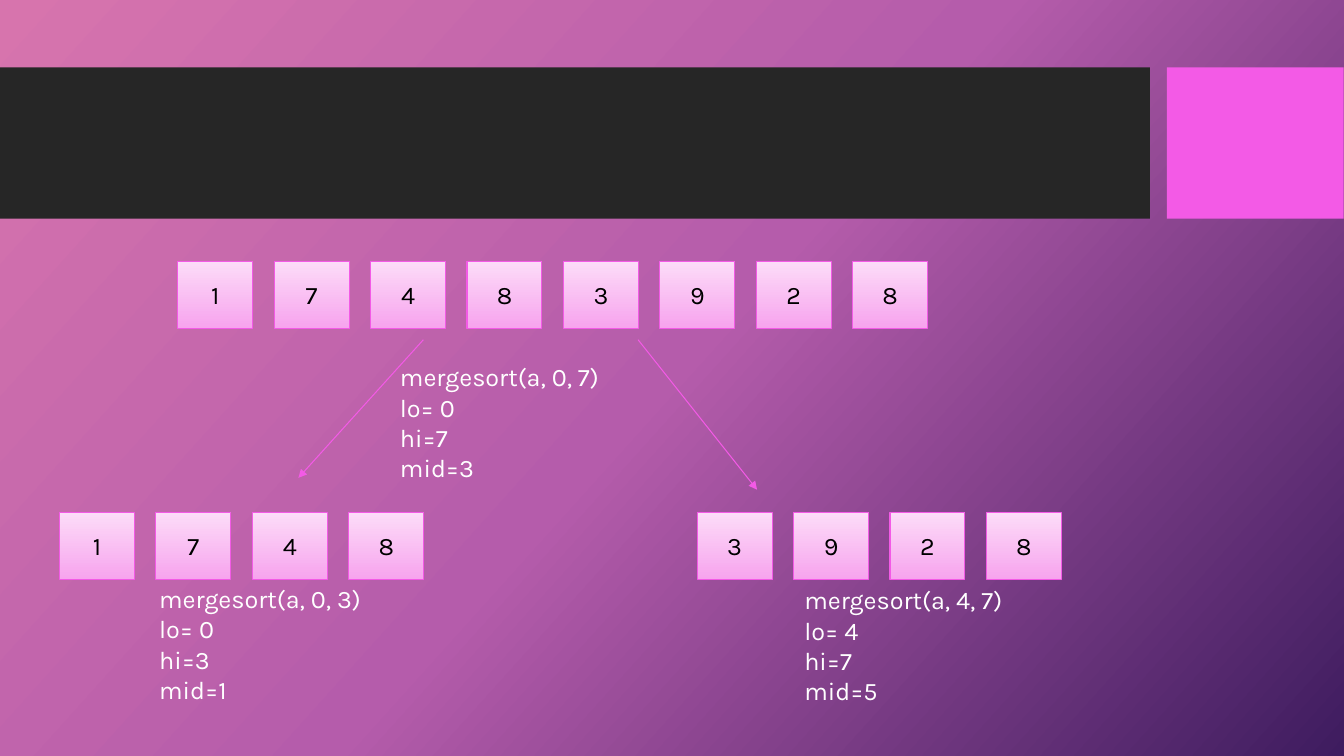
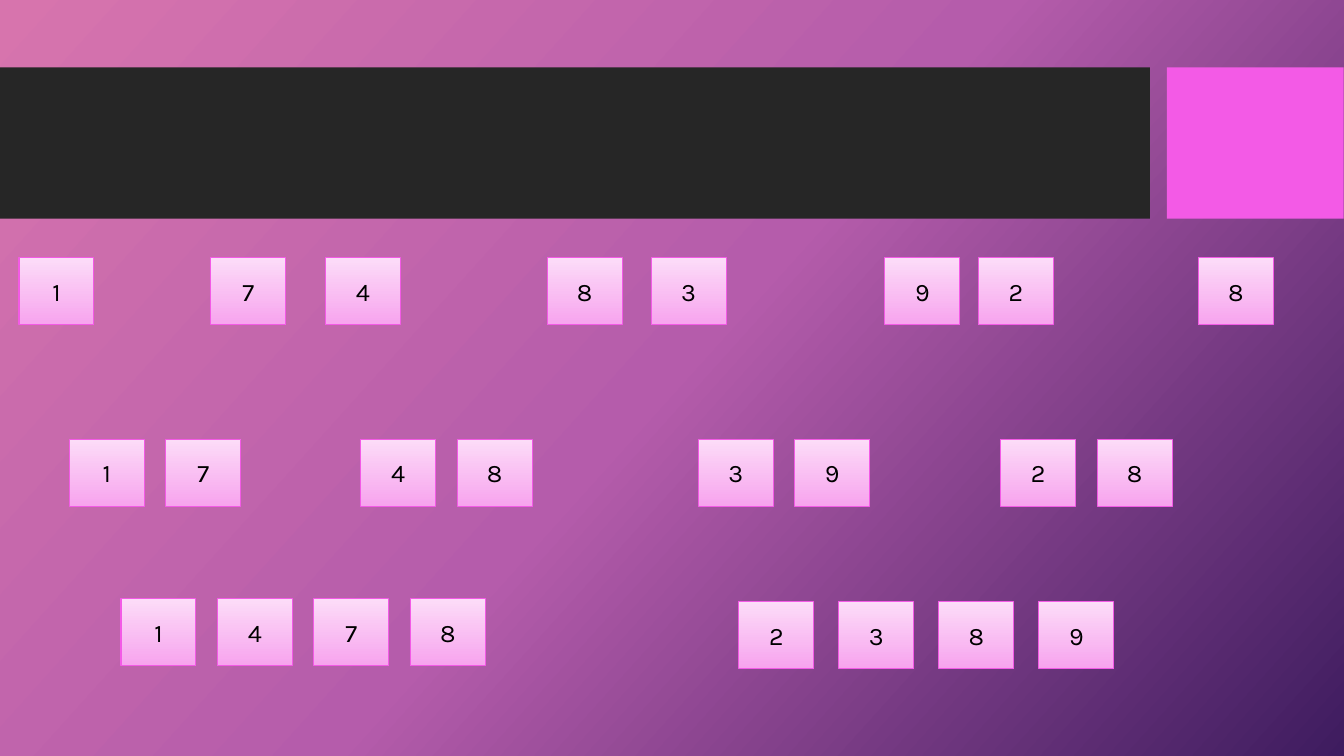
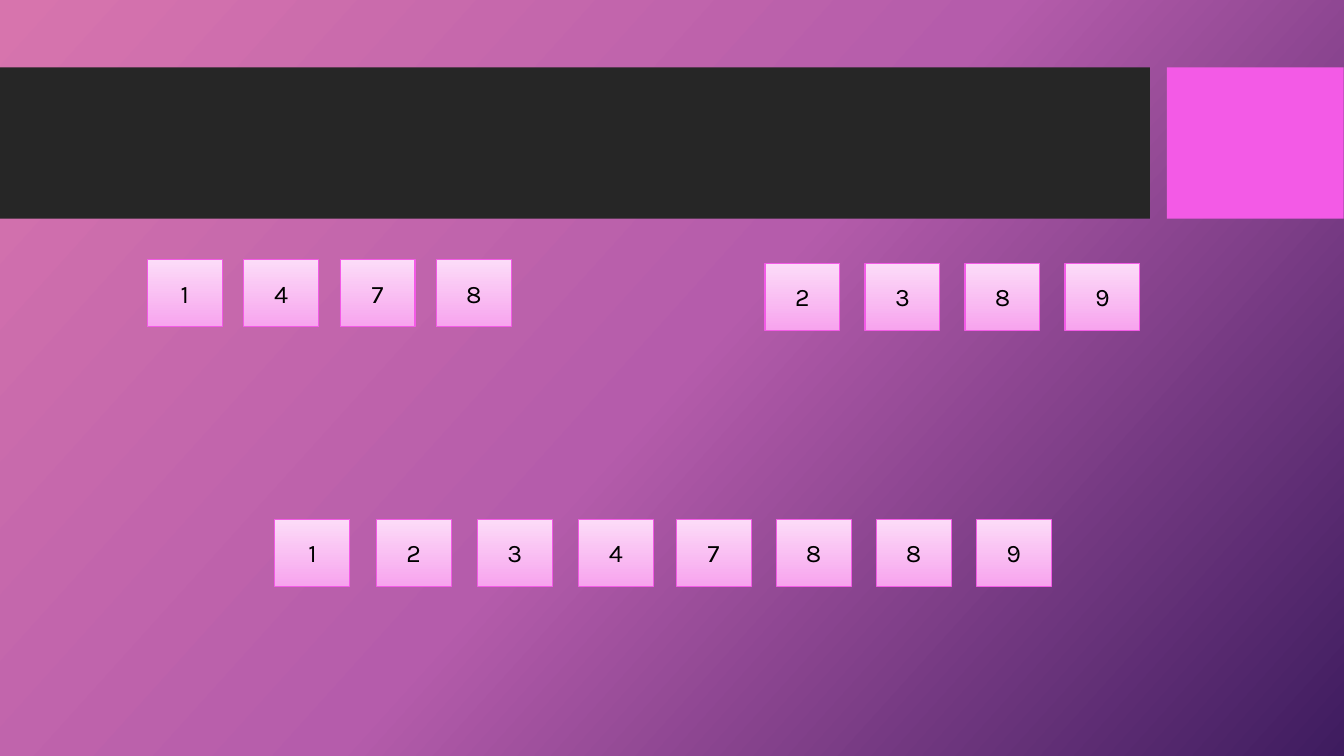
from copy import deepcopy

from lxml import etree
from pptx import Presentation
from pptx.dml.color import RGBColor
from pptx.enum.shapes import MSO_CONNECTOR, MSO_SHAPE
from pptx.enum.text import MSO_ANCHOR, MSO_AUTO_SIZE, PP_ALIGN
from pptx.oxml.ns import qn
from pptx.util import Cm, Pt

RECTANGLE = MSO_SHAPE.RECTANGLE
STRAIGHT = MSO_CONNECTOR.STRAIGHT
MIDDLE = MSO_ANCHOR.MIDDLE
CENTER = PP_ALIGN.CENTER
FIT_SHAPE = MSO_AUTO_SIZE.SHAPE_TO_FIT_TEXT

COLORS = {
    "rose": "D774AD",
    "orchid": "B55CAB",
    "violet": "3E1C5F",
    "charcoal": "262626",
    "pink": "F35AE6",
    "cell_top": "FCDCF8",
    "cell_bottom": "F7A4EE",
    "black": "000000",
    "white": "FFFFFF",
}
FONT = "Karla"
FONT_SIZE = 18
BLANK_LAYOUT = 6
CELL_WIDTH, CELL_HEIGHT = 1.89, 1.69
PITCH, WIDE_PITCH, WIDEST_PITCH = 2.43, 2.52, 2.55
CALL_WIDTH, CALL_HEIGHT = 5.77, 3.33
BAND_TOP, BAND_HEIGHT = 1.7, 3.81
BANDS = [(0, 28.98, "charcoal"), (29.41, 4.45, "pink")]

SLIDES = [
    {
        "arrays": [
            (4.48, 6.58, PITCH, "17483928"),
            (1.5, 12.91, PITCH, "1748"),
            (17.57, 12.91, PITCH, "3928"),
        ],
        "calls": [
            (9.83, 8.99, 0, 7, 3),
            (3.76, 14.58, 0, 3, 1),
            (20.02, 14.61, 4, 7, 5),
        ],
        "arrows": [(10.67, 8.56, 7.52, 12.04), (16.08, 8.56, 19.08, 12.34)],
    },
    {
        "arrays": [
            (0.48, 6.5, PITCH, "1"),
            (5.31, 6.5, PITCH, "7"),
            (8.2, 6.5, PITCH, "4"),
            (13.79, 6.5, PITCH, "8"),
            (16.41, 6.5, PITCH, "3"),
            (22.3, 6.5, PITCH, "9"),
            (24.66, 6.5, PITCH, "2"),
            (30.2, 6.5, PITCH, "8"),
            (1.75, 11.07, PITCH, "17"),
            (9.09, 11.07, PITCH, "48"),
            (17.6, 11.07, PITCH, "39"),
            (25.22, 11.07, PITCH, "28"),
            (3.05, 15.09, PITCH, "1478"),
            (18.62, 15.16, WIDE_PITCH, "2389"),
        ],
    },
    {
        "arrays": [
            (3.71, 6.55, PITCH, "1478"),
            (19.28, 6.63, WIDE_PITCH, "2389"),
            (6.93, 13.08, WIDEST_PITCH, "1234"),
            (17.04, 13.08, WIDE_PITCH, "7889"),
        ],
    },
]


def rgb(name):
    return RGBColor.from_string(COLORS[name])


def paint_gradient(owner, fill, names, clockwise_angle):
    fill.gradient()
    fill.gradient_angle = 360 - clockwise_angle
    stop_list = owner.element.find(".//" + qn("a:gsLst"))
    while len(stop_list) < len(names):
        stop_list.append(deepcopy(stop_list[0]))
    for index, (stop, name) in enumerate(zip(fill.gradient_stops, names)):
        stop.color.rgb = rgb(name)
        stop.position = index / (len(names) - 1)


def style_paragraph(paragraph, color):
    paragraph.font.name = FONT
    paragraph.font.size = Pt(FONT_SIZE)
    paragraph.font.color.rgb = rgb(color)


def add_rectangle(slide, left, top, width, height):
    shape = slide.shapes.add_shape(RECTANGLE, Cm(left), Cm(top), Cm(width), Cm(height))
    shape.shadow.inherit = False
    return shape


def add_bands(slide):
    for left, width, color in BANDS:
        band = add_rectangle(slide, left, BAND_TOP, width, BAND_HEIGHT)
        band.fill.solid()
        band.fill.fore_color.rgb = rgb(color)
        band.line.fill.background()


def add_array(slide, left, top, pitch, values):
    for index, value in enumerate(values):
        cell = add_rectangle(slide, left + index * pitch, top, CELL_WIDTH, CELL_HEIGHT)
        paint_gradient(cell, cell.fill, ("cell_top", "cell_bottom"), 90)
        cell.line.color.rgb = rgb("pink")
        cell.line.width = Pt(0.75)
        cell.text_frame.text = value
        cell.text_frame.vertical_anchor = MIDDLE
        paragraph = cell.text_frame.paragraphs[0]
        paragraph.alignment = CENTER
        style_paragraph(paragraph, "black")


def add_call(slide, left, top, low, high, middle):
    box = slide.shapes.add_textbox(Cm(left), Cm(top), Cm(CALL_WIDTH), Cm(CALL_HEIGHT))
    frame = box.text_frame
    frame.word_wrap = False
    frame.auto_size = FIT_SHAPE
    frame.text = f"mergesort(a, {low}, {high})\nlo= {low}\nhi={high}\nmid={middle}"
    for paragraph in frame.paragraphs:
        style_paragraph(paragraph, "white")


def add_arrow(slide, *ends):
    arrow = slide.shapes.add_connector(STRAIGHT, *(Cm(end) for end in ends))
    arrow.line.color.rgb = rgb("pink")
    arrow.line.width = Pt(0.75)
    properties = arrow.element.spPr
    etree.SubElement(properties.find(qn("a:ln")), qn("a:tailEnd"), type="triangle")
    etree.SubElement(properties, qn("a:effectLst"))


def main():
    presentation = Presentation()
    presentation.slide_width = Cm(33.87)
    presentation.slide_height = Cm(19.05)
    master = presentation.slide_master
    paint_gradient(master, master.background.fill, ("rose", "orchid", "violet"), 42)
    for content in SLIDES:
        slide = presentation.slides.add_slide(presentation.slide_layouts[BLANK_LAYOUT])
        add_bands(slide)
        for array in content["arrays"]:
            add_array(slide, *array)
        for call in content.get("calls", []):
            add_call(slide, *call)
        for arrow in content.get("arrows", []):
            add_arrow(slide, *arrow)
    presentation.save("out.pptx")


if __name__ == "__main__":
    main()
